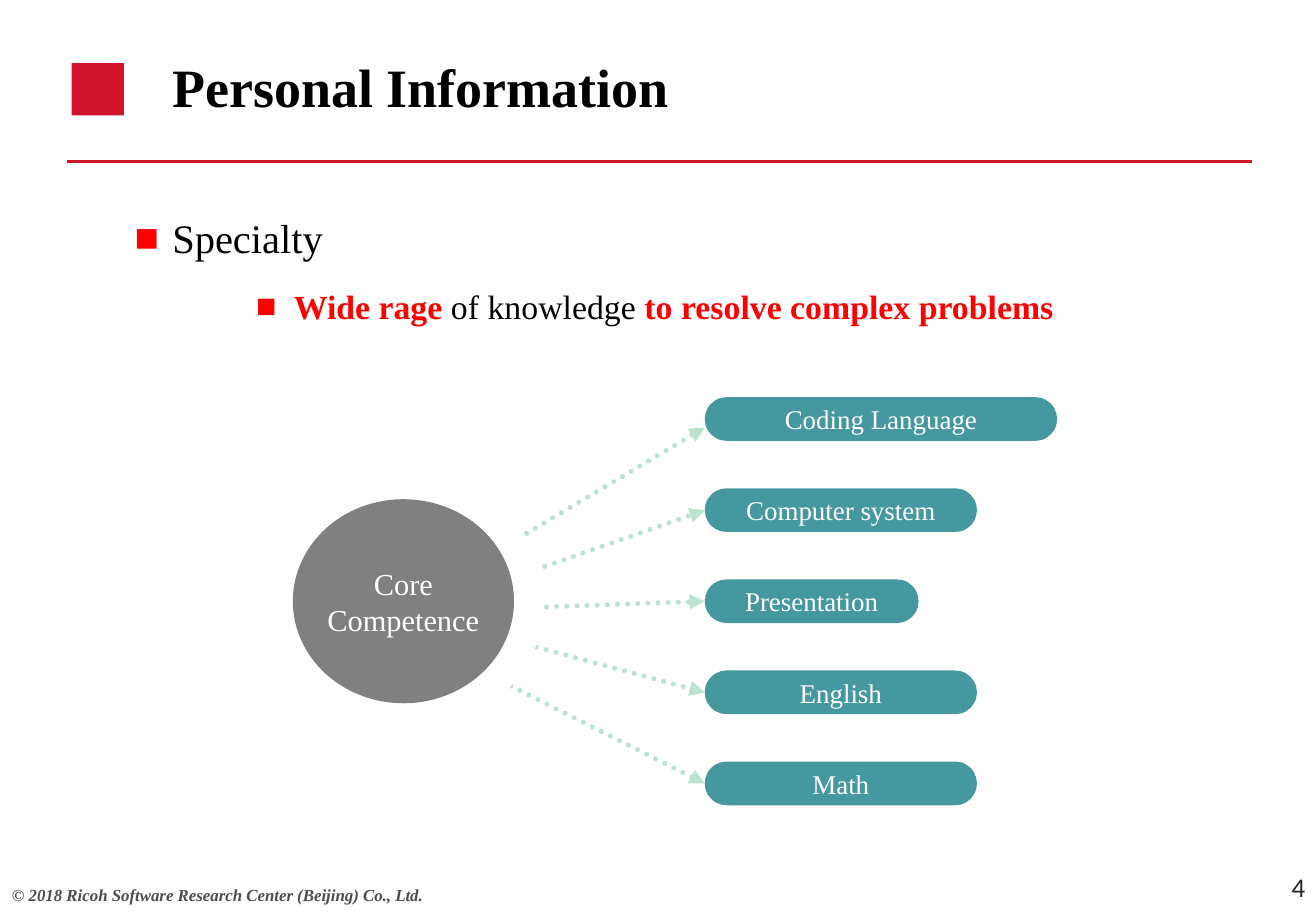
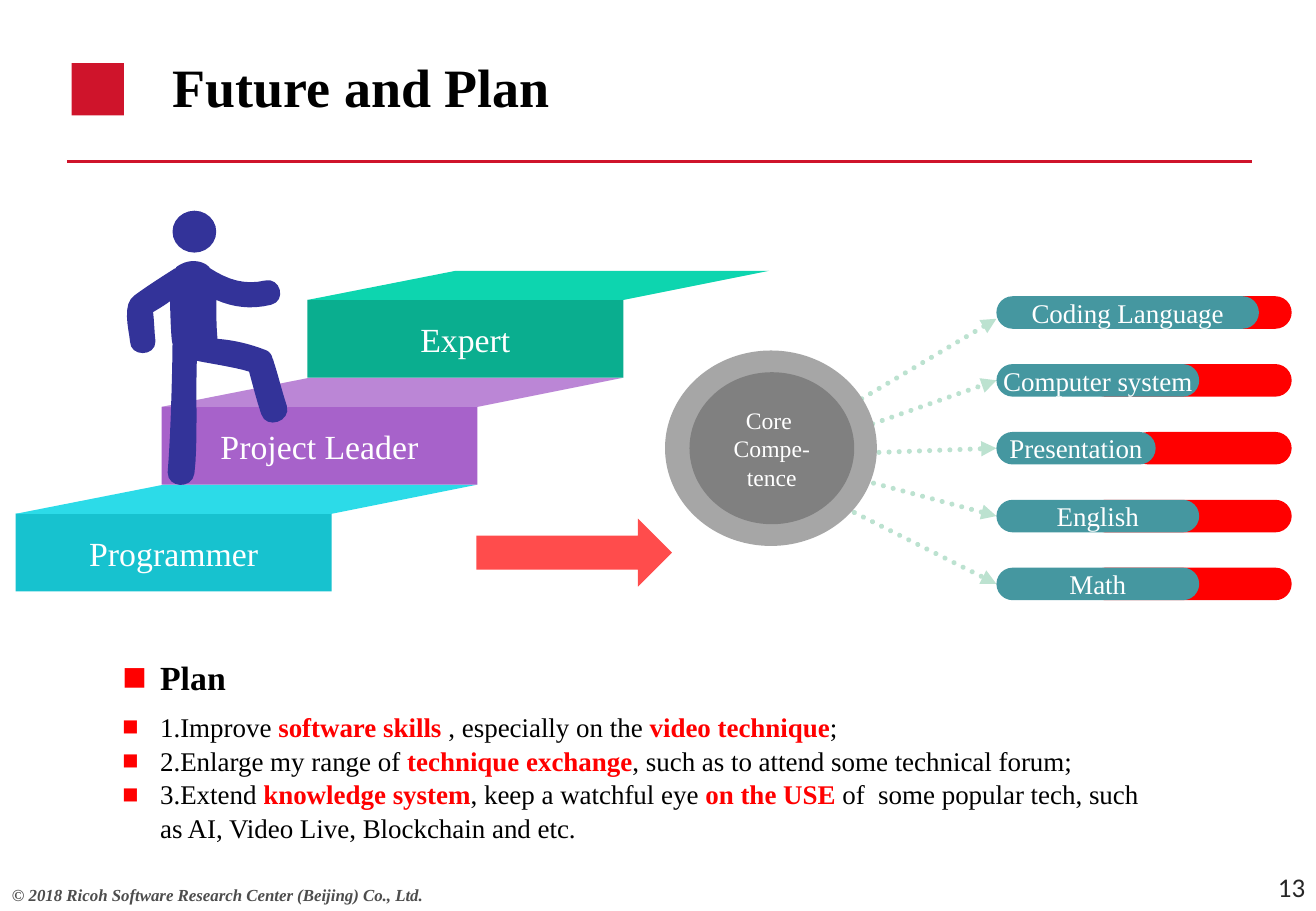
import pptx
import pptx.util
import pptx.dml.color
import pptx.enum.dml
import pptx.enum.shapes
import pptx.enum.text
import pptx.oxml.ns
from lxml import etree

SHAPES = pptx.enum.shapes.MSO_SHAPE
ALIGN = pptx.enum.text.PP_ALIGN
ANCHOR = pptx.enum.text.MSO_ANCHOR
COLORS = {
    "brand": "CF142B", "ink": "000000", "accent": "FF0000", "white": "FFFFFF",
    "footer": "4D4D4D", "number": "262626", "pill": "4597A0", "dots": "BCE2D0",
    "core": "808080", "ring": "A6A6A6", "climber": "333399",
}
SERIF = "Times New Roman"
CELL = 0.1  # inches per grid column and row

# Skills: label, pill width, arrow start and arrow end relative to the pill column
SKILLS = [
    ("Coding Language", 29, (-19.7, -2.6), -14.3),
    ("Computer system", 22.4, (-17.9, -1.2), -7.5),
    ("Presentation", 17.6, (-19.7, 0.7), 0),
    ("English", 22.4, (-17.9, 2.7), 7.5),
    ("Math", 22.4, (-19.7, 5.1), 15),
]
# Career steps: label, front colour, tread colour
STEPS = [
    ("Programmer", "17C2CF", "2CDBE8"),
    ("Project Leader", "A762CA", "BB86D6"),
    ("Expert", "0AAE8F", "0DD5AF"),
]
# Climber's body: a start point, then two handles and an end point per curve
CLIMBER = [
    (15.9, 21.5),
    (16.5, 21.5), (17, 21.7), (17.3, 22.1), (18.7, 23), (20.1, 23.5), (21.8, 23.1),
    (23.1, 22.8), (23.6, 24.8), (22.3, 25.1), (20.6, 25.5), (19.2, 25.3), (17.8, 24.7),
    (17.8, 25.7), (17.8, 26.8), (17.9, 27.9), (19.2, 28), (20.5, 28.3), (21.8, 28.8),
    (22.1, 28.9), (22.3, 29.1), (22.4, 29.4), (22.4, 29.5), (22.5, 29.6), (22.5, 29.7),
    (22.9, 30.9), (23.2, 32.2), (23.6, 33.4), (24, 34.7), (21.9, 35.4), (21.5, 34.1),
    (21.1, 32.9), (20.8, 31.7), (20.5, 30.6), (19.3, 30.2), (16.4, 29.8), (16.2, 29.7),
    (16.1, 32.2), (16.3, 36.7), (16, 39), (15.8, 40.3), (13.8, 40.2), (13.8, 38.9),
    (14.1, 35.2), (14.2, 29.1), (14.2, 28.3), (14.1, 28.2), (14, 25.8), (14, 24.8),
    (13.6, 25.1), (13.1, 25.4), (12.6, 25.7), (12.7, 26.5), (12.7, 27.3), (12.8, 28.1),
    (12.8, 29.4), (10.7, 29.4), (10.7, 28.1), (10.6, 27.1), (10, 25), (11.1, 24.3),
    (12.2, 23.5), (13.3, 22.8), (14.4, 22.1), (14.5, 22.1), (14.5, 22), (14.5, 22),
    (14.9, 21.7), (15.4, 21.5), (15.9, 21.5),
]


def grid(*cells):
    """Turn grid columns or rows into lengths."""
    return [pptx.util.Inches(cell * CELL) for cell in cells]


def rgb(color):
    return pptx.dml.color.RGBColor.from_string(COLORS.get(color, color))


def add_xml(parent, tag, **attributes):
    return etree.SubElement(parent, pptx.oxml.ns.qn(tag), attributes)


def smooth(points, steps=8):
    """Sample a chain of cubic curves."""
    samples = [points[0]]
    for i in range(0, len(points) - 1, 3):
        curve = points[i:i + 4]
        for step in range(1, steps + 1):
            t = step / steps
            weights = ((1 - t) ** 3, 3 * t * (1 - t) ** 2, 3 * t * t * (1 - t), t ** 3)
            samples.append(tuple(sum(w * p[axis] for w, p in zip(weights, curve))
                                 for axis in (0, 1)))
    return samples


class Slides:
    """Holds the deck, its style and the current page."""

    def __init__(self):
        self.deck = pptx.Presentation()
        self.deck.slide_width, self.deck.slide_height = grid(108.3, 75)
        self.page = None

    def start(self, title, number):
        """Add a page with the shared title, rule, mark and footer."""
        layout = self.deck.slide_layouts.get_by_name("Title Only")
        self.page = self.deck.slides.add_slide(layout)
        self.line((5.5, 13.3), (103, 13.3), "brand", 2)
        self.shape(SHAPES.RECTANGLE, (5.9, 5.2, 4.3, 4.3), "brand")
        box = self.page.shapes.title
        box.left, box.top, box.width, box.height = grid(13.2, 3.6, 67.2, 7)
        self.fill_text(box, [title], 32, bold=True)
        self.text((0, 72.3, 40, 2.7),
                  ["© 2018 Ricoh Software Research Center (Beijing) Co., Ltd."],
                  10, color="footer", bold=True, italic=True)
        self.text((96.7, 71, 11.7, 4), [number], 16, color="number", font="Calibri",
                  align=ALIGN.RIGHT)

    def fill_text(self, box, lines, size, color="ink", font=SERIF, bold=False,
                  italic=False, align=ALIGN.LEFT, anchor=ANCHOR.MIDDLE, bullet=None):
        """Fill a box; parts between asterisks are emphasised."""
        frame = box.text_frame
        frame.word_wrap = True
        frame.vertical_anchor = anchor
        for i, line in enumerate(lines):
            para = frame.add_paragraph() if i else frame.paragraphs[0]
            para.alignment = align
            if bullet:
                self.bullet(para, bullet)
            para.font.name, para.font.size = font, pptx.util.Pt(size)
            para.font.bold, para.font.italic = bold, italic
            para.font.color.rgb = rgb(color)
            for part, words in enumerate(line.split("*")):
                if words:
                    span = para.add_run()
                    span.text = words
                    if part % 2:
                        span.font.bold = True
                        span.font.color.rgb = rgb("accent")

    def bullet(self, para, percent):
        para.line_spacing = 1.04
        props = para._p.get_or_add_pPr()
        indent = pptx.util.Inches(0.31)
        props.set("marL", str(indent))
        props.set("indent", str(-indent))
        add_xml(add_xml(props, "a:buClr"), "a:srgbClr", val=COLORS["accent"])
        add_xml(props, "a:buSzPct", val=str(percent * 1000))
        add_xml(props, "a:buFont", typeface=SERIF)
        add_xml(props, "a:buChar", char="■")

    def text(self, at, lines, size, **style):
        box = self.page.shapes.add_textbox(*grid(*at))
        self.fill_text(box, lines, size, **style)

    def paint(self, shape, color):
        shape.shadow.inherit = False
        shape.fill.solid()
        shape.fill.fore_color.rgb = rgb(color)
        shape.line.fill.background()
        return shape

    def shape(self, kind, at, color, lines=(), size=16, inset=0):
        """Add a preset shape with centred white text."""
        shape = self.paint(self.page.shapes.add_shape(kind, *grid(*at)), color)
        if lines:
            frame = shape.text_frame
            frame.margin_left = frame.margin_right = pptx.util.Inches(inset)
            frame.margin_top = frame.margin_bottom = 0
            self.fill_text(shape, lines, size, color="white", align=ALIGN.CENTER)
        return shape

    def pill(self, at, color, lines=()):
        self.shape(SHAPES.ROUNDED_RECTANGLE, at, color, lines).adjustments[0] = 0.5

    def outline(self, points, color):
        corners = [grid(*point) for point in points]
        builder = self.page.shapes.build_freeform(*corners[0])
        builder.add_line_segments(corners[1:], close=True)
        self.paint(builder.convert_to_shape(), color)

    def line(self, start, end, color, width, arrow=False):
        line = self.page.shapes.add_connector(
            pptx.enum.shapes.MSO_CONNECTOR.STRAIGHT, *grid(*start, *end))
        line.line.color.rgb = rgb(color)
        line.line.width = pptx.util.Pt(width)
        if arrow:
            line.line.dash_style = pptx.enum.dml.MSO_LINE.ROUND_DOT
            stroke = line.line._get_or_add_ln()
            stroke.set("cap", "rnd")
            add_xml(stroke, "a:tailEnd", type="triangle")
        add_xml(line._element.spPr, "a:effectLst")

    def competence(self, left, middle, scale, ring, label, size, full_right=None):
        """Draw the core, its arrows and skill pills; full_right adds red rest bars."""
        def place(x, y):
            return left + x * scale, middle + y * scale

        def disc(x, width, height, color, lines=()):
            at = (*place(x, -height / 2), width * scale, height * scale)
            self.shape(SHAPES.OVAL, at, color, lines, size)

        for name, width, start, end in SKILLS:
            self.line(place(*start), place(0, end), "dots", 3, arrow=True)
        disc(-36.6, 23.4, 21.6, ring)
        disc(-33.9, 18.2, 16.8, "core", label)
        for i, (name, width, start, end) in enumerate(SKILLS):
            x, y = place(0, 7.5 * (i - 2) - 1.8)
            width, height = width * scale, 3.6 * scale
            if full_right:
                self.pill((full_right - width, y, width, height), "accent")
            self.pill((x, y, width, height), "pill", [name])

    def staircase(self):
        for i, (name, front, tread) in enumerate(STEPS):
            x, y = 1.3 + 12 * i, 42.3 - 8.8 * i
            self.shape(SHAPES.RECTANGLE, (x, y, 26, 6.4), front, [name], 20, 0.1)
            self.outline([(x, y), (x + 12.2, y - 2.4), (x + 38, y - 2.4), (x + 26, y)],
                         tread)

    def climber(self):
        self.shape(SHAPES.OVAL, (14.2, 17.35, 3.6, 3.45), "climber")
        self.outline(smooth(CLIMBER), "climber")


def main():
    slides = Slides()

    # Specialty
    slides.start("Personal Information", "4")
    slides.text((10.1, 17, 25, 5), ["Specialty"], 24, bullet=100)
    slides.text((20.1, 22.9, 72, 4.4),
                ["*Wide rage *of knowledge *to resolve complex problems*"], 20, bullet=100)
    slides.competence(58, 49.5, 1, "white", ["Core Competence"], 18)

    # Career steps and plan
    slides.start("Future and Plan", "13")
    slides.staircase()
    slides.climber()
    slides.text((9.1, 53.5, 20, 4.4), ["Plan"], 20, bold=True, bullet=120)
    slides.text((9.1, 57.9, 86.4, 11.8), [
        "1.Improve *software skills *, especially on the *video technique*;",
        "2.Enlarge my range of *technique exchange*, such as to attend some technical forum;",
        "3.Extend *knowledge system*, keep a watchful eye *on the USE *of  some popular tech, "
        "such as AI, Video Live, Blockchain and etc.",
    ], 16, anchor=ANCHOR.TOP, bullet=100)
    arrow = slides.shape(SHAPES.RIGHT_ARROW, (39.2, 42.7, 16.1, 5.6), "accent")
    fill = arrow._element.spPr.find(".//" + pptx.oxml.ns.qn("a:srgbClr"))
    add_xml(fill, "a:alpha", val="70000")
    slides.competence(82, 36.9, 0.745, "ring", ["Core ", "Compe-tence"], 14,
                      full_right=106.3)

    slides.deck.save("out.pptx")


if __name__ == "__main__":
    main()
